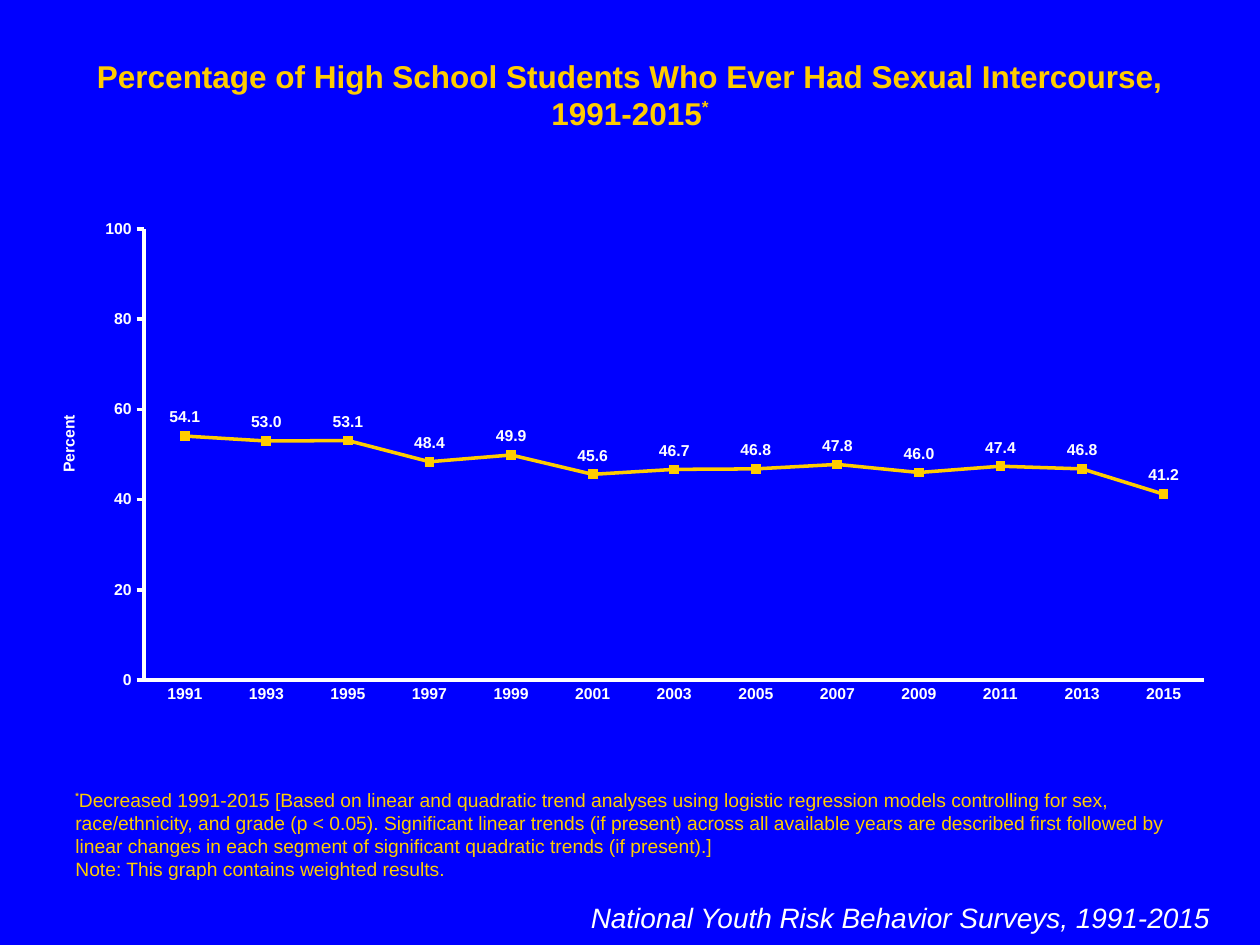
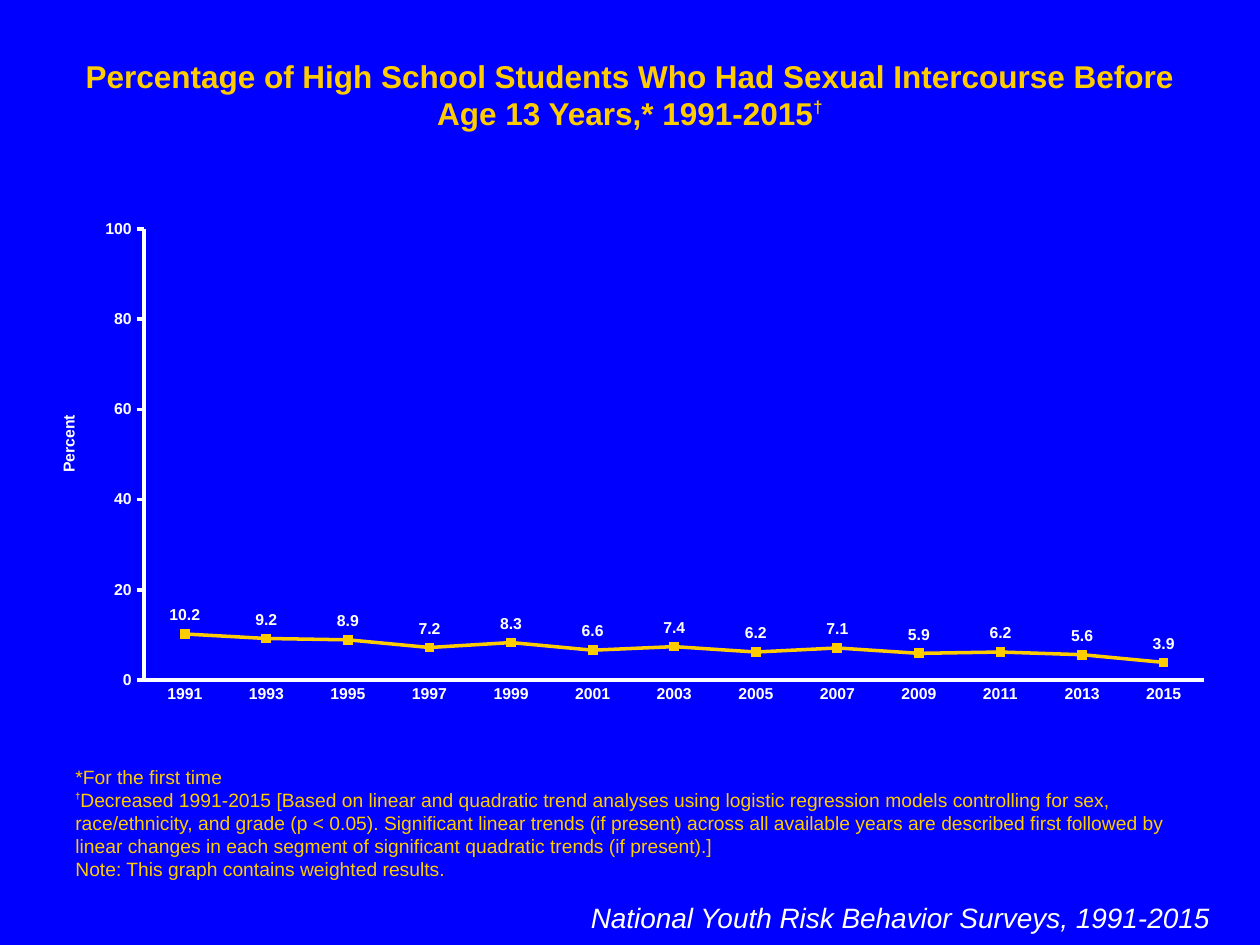
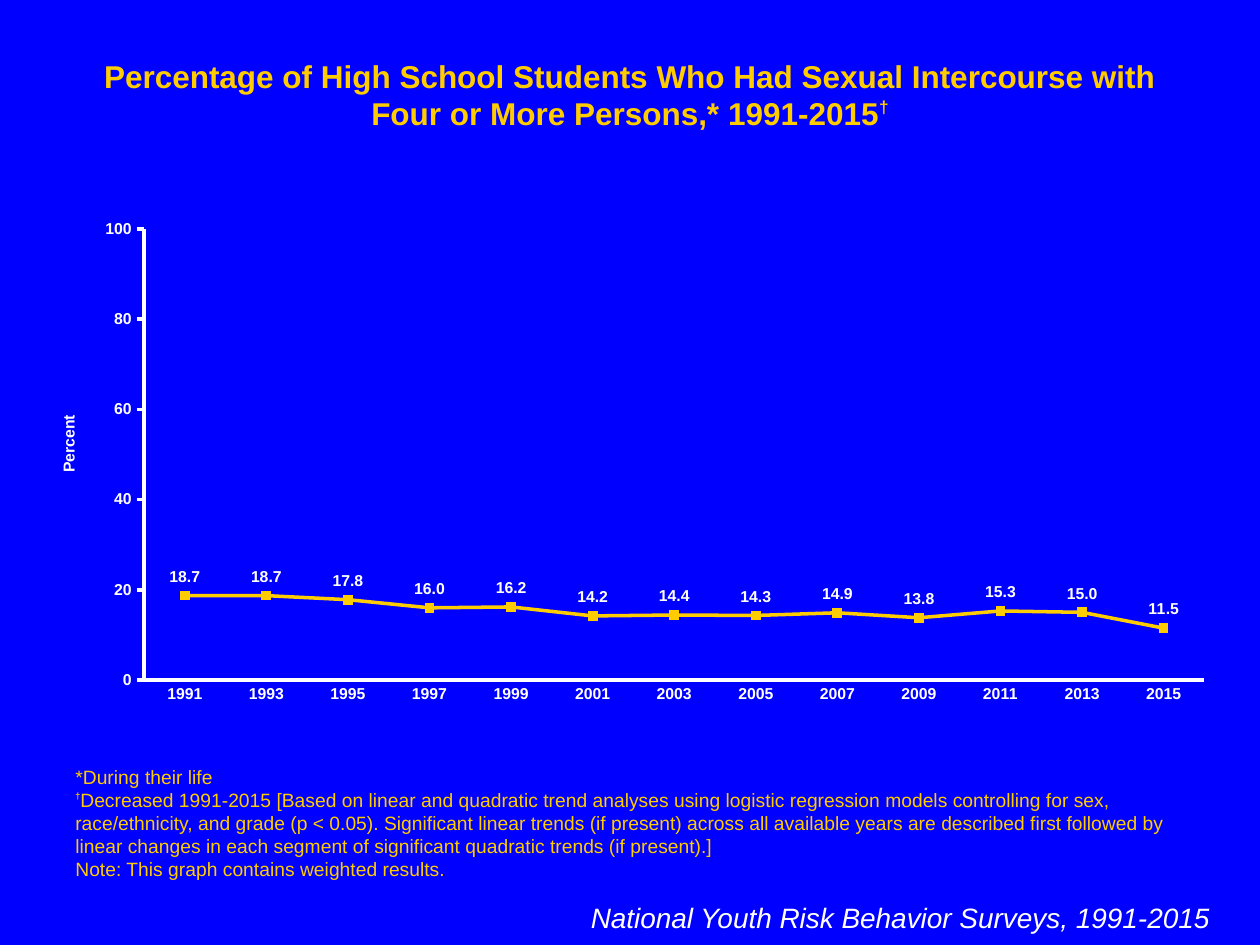
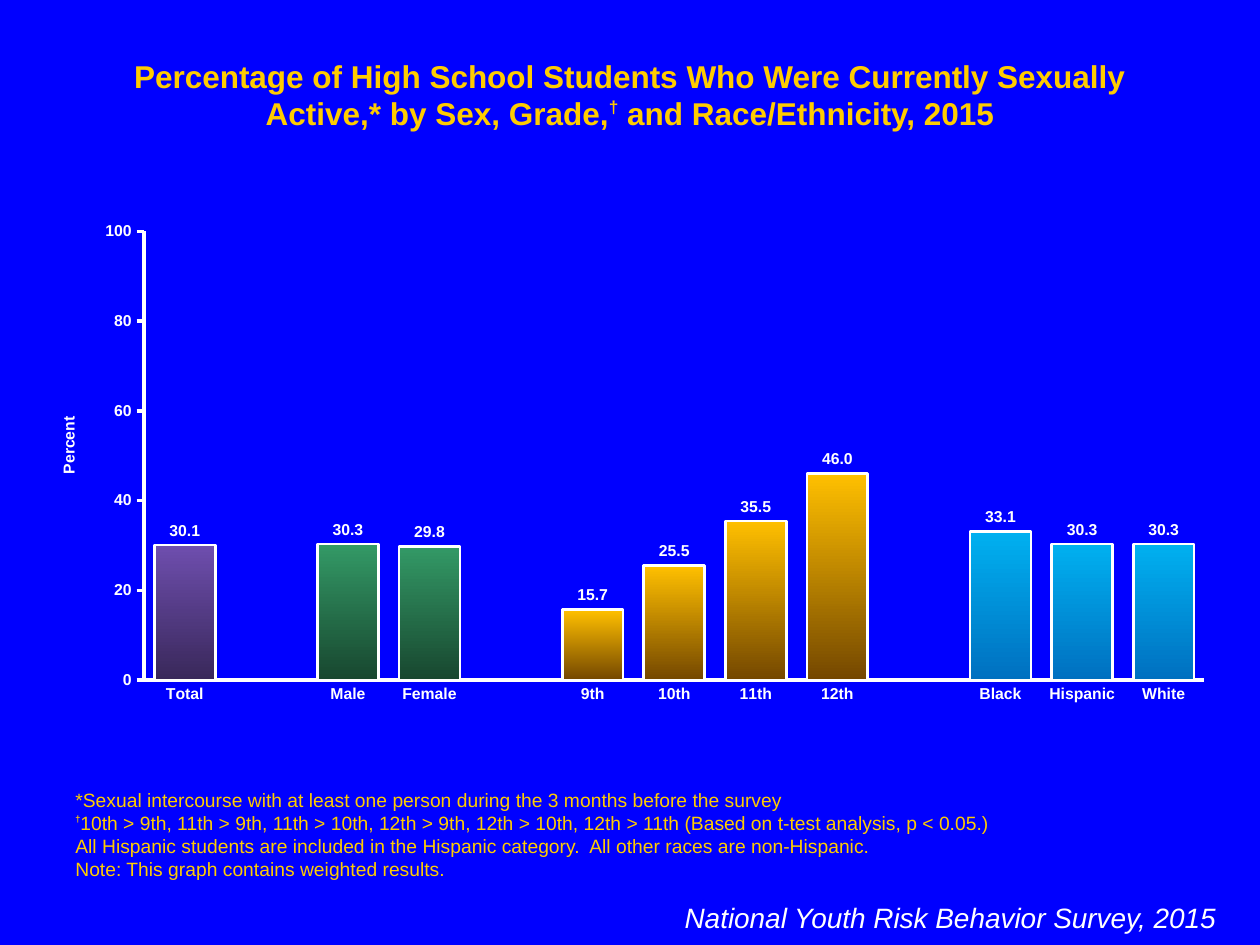
import dataclasses

import lxml.etree
import pptx
import pptx.chart.data
import pptx.dml.color
import pptx.enum.chart
import pptx.enum.text
import pptx.oxml
import pptx.oxml.ns
import pptx.util

Inches, Pt = pptx.util.Inches, pptx.util.Pt
qn = pptx.oxml.ns.qn


def rgb(code):
    return pptx.dml.color.RGBColor.from_string(code)


@dataclasses.dataclass(frozen=True)
class Theme:
    font: str = "Arial"
    background: str = "0000FF"
    accent: str = "FFCC00"
    light: str = "FFFFFF"
    title: int = 18
    title_mark: int = 17
    note: int = 11
    note_mark: int = 9
    source: int = 16
    chart: int = 9
    axis_line: float = 2
    bar_line: float = 1.5


THEME = Theme()
WIDTH, HEIGHT = 10, 7.5

# Boxes: left, top, width, height in inches
TITLE_BOX = (0.5, 0.4, 9, 0.4)
NOTE_BOX = (0.5, 6.75, 9, 0.29)
TREND_SOURCE_BOX = (4.53, 7.1, 5.17, 0.37)
GROUP_SOURCE_BOX = (4.25, 7.1, 5.5, 0.37)
TREND_CHART_BOX = (0.25, 1.67, 9.5, 4)
GROUP_CHART_BOX = (0.25, 1.69, 9.5, 3.98)

# Shares of the chart's size
PLOT_AREA = {"x": 0.09, "y": 0.04, "w": 0.89, "h": 0.89}
PLOT_AREA = {"x": 0.094, "y": 0.037, "w": 0.886, "h": 0.895}
AXIS_TITLE = {"x": 0.02, "y": 0.4}

# Content: in a list of text parts, every second part is a raised mark
YEARS = [str(year) for year in range(1991, 2016, 2)]
TREND_TEST = (
    "Decreased 1991-2015 [Based on linear and quadratic trend analyses using logistic "
    "regression models controlling for sex, race/ethnicity, and grade (p < 0.05). "
    "Significant linear trends (if present) across all available years are described "
    "first followed by linear changes in each segment of significant quadratic trends "
    "(if present).]"
)
WEIGHTED = ["Note: This graph contains weighted results."]
TREND_SOURCE = "National Youth Risk Behavior Surveys, 1991-2015"
GROUP_SOURCE = "National Youth Risk Behavior Survey, 2015"

TRENDS = [
    {
        "title": ["Percentage of High School Students Who Ever Had Sexual Intercourse, "
                  "1991-2015", "*"],
        "notes": [["", "*", TREND_TEST], WEIGHTED],
        "percents": [54.1, 53.0, 53.1, 48.4, 49.9, 45.6, 46.7, 46.8, 47.8, 46.0, 47.4,
                     46.8, 41.2],
    },
    {
        "title": ["Percentage of High School Students Who Had Sexual Intercourse Before "
                  "Age 13 Years,* 1991-2015", "†"],
        "notes": [["*For the first time"], ["", "†", TREND_TEST], WEIGHTED],
        "percents": [10.2, 9.2, 8.9, 7.2, 8.3, 6.6, 7.4, 6.2, 7.1, 5.9, 6.2, 5.6, 3.9],
    },
    {
        "title": ["Percentage of High School Students Who Had Sexual Intercourse with "
                  "Four or More Persons,* 1991-2015", "†"],
        "notes": [["*During their life"], ["", "†", TREND_TEST], WEIGHTED],
        "percents": [18.7, 18.7, 17.8, 16.0, 16.2, 14.2, 14.4, 14.3, 14.9, 13.8, 15.3,
                     15.0, 11.5],
    },
]

GROUPS_TITLE = ["Percentage of High School Students Who Were Currently Sexually Active,* "
                "by Sex, Grade,", "†", " and Race/Ethnicity, 2015"]
GROUPS_NOTES = [
    ["*Sexual intercourse with at least one person during the 3 months before the survey"],
    ["", "†", "10th > 9th, 11th > 9th, 11th > 10th, 12th > 9th, 12th > 10th, 12th > 11th "
              "(Based on t-test analysis, p < 0.05.)"],
    ["All Hispanic students are included in the Hispanic category.  "
     "All other races are non-Hispanic."],
    WEIGHTED,
]
# Each group: colour at the top of its bars, colour at the bottom, bars
GROUPS = [
    ("6E4EAE", "39285A", [("Total", 30.1)]),
    ("339966", "18472F", [("Male", 30.3), ("Female", 29.8)]),
    ("FFC000", "744700", [("9th", 15.7), ("10th", 25.5), ("11th", 35.5), ("12th", 46.0)]),
    ("00B0F0", "0070C0", [("Black", 33.1), ("Hispanic", 30.3), ("White", 30.3)]),
]


# Text
def set_font(font, size, color, bold=False, italic=False):
    font.name, font.size = THEME.font, Pt(size)
    font.bold, font.italic = bold, italic
    font.color.rgb = rgb(color)


def add_text(slide, box, lines, size, color, mark_size=None, lift=0, align="LEFT",
             anchor="TOP", bold=False, italic=False):
    frame = slide.shapes.add_textbox(*map(Inches, box)).text_frame
    frame.word_wrap = True
    frame.auto_size = pptx.enum.text.MSO_AUTO_SIZE.SHAPE_TO_FIT_TEXT
    frame.vertical_anchor = pptx.enum.text.MSO_ANCHOR[anchor]
    for row, parts in enumerate(lines):
        paragraph = frame.add_paragraph() if row else frame.paragraphs[0]
        paragraph.alignment = pptx.enum.text.PP_ALIGN[align]
        for index, part in enumerate(parts):
            if not part:
                continue
            raised = index % 2 == 1
            run = paragraph.add_run()
            run.text = part
            set_font(run.font, mark_size if raised else size, color, bold or raised, italic)
            if raised:
                run._r.get_or_add_rPr().set("baseline", str(lift * 1000))


# Charts
def place(parent, position, shares, inner=False):
    """Fix a chart part at shares of the chart's size."""
    for old in parent.findall(qn("c:layout")):
        parent.remove(old)
    layout = pptx.oxml.parse_xml(
        '<c:layout xmlns:c="http://schemas.openxmlformats.org/drawingml/2006/chart">'
        "<c:manualLayout/></c:layout>")
    settings = [("layoutTarget", "inner")] if inner else []
    settings += [(side + "Mode", "edge") for side in "xy"]
    settings += shares.items()
    for tag, value in settings:
        lxml.etree.SubElement(layout[0], qn("c:" + tag)).set("val", str(value))
    parent.insert(position, layout)


def add_percent_chart(slide, kind, box, categories, percents):
    data = pptx.chart.data.CategoryChartData(number_format="#,##0.0")
    data.categories = categories
    data.add_series("Series 1", percents)
    chart = slide.shapes.add_chart(
        pptx.enum.chart.XL_CHART_TYPE[kind], *map(Inches, box), data).chart
    chart.has_title = chart.has_legend = False
    set_font(chart.font, THEME.title, THEME.light)

    ticks = pptx.enum.chart.XL_TICK_MARK
    years, percent = chart.category_axis, chart.value_axis
    for axis, tick in ((years, ticks.NONE), (percent, ticks.OUTSIDE)):
        axis.has_major_gridlines = False
        axis.major_tick_mark, axis.minor_tick_mark = tick, ticks.NONE
        axis.format.line.color.rgb = rgb(THEME.light)
        axis.format.line.width = Pt(THEME.axis_line)
        set_font(axis.tick_labels.font, THEME.chart, THEME.light, bold=True)
    percent.minimum_scale, percent.maximum_scale, percent.major_unit = 0, 100, 20
    percent.tick_labels.number_format = "#,##0"
    percent.tick_labels.number_format_is_linked = False

    # Upright axis title
    heading = percent.axis_title
    run = heading.text_frame.paragraphs[0].add_run()
    run.text = "Percent"
    set_font(run.font, THEME.chart, THEME.light, bold=True)
    body = heading._element.find(".//" + qn("a:bodyPr"))
    body.set("rot", "-5400000")
    body.set("vert", "horz")
    place(heading._element, 1, AXIS_TITLE)
    place(chart._chartSpace.chart.plotArea, 0, PLOT_AREA, inner=True)

    plot = chart.plots[0]
    plot.vary_by_categories = False
    plot.has_data_labels = True
    labels = plot.data_labels
    labels.show_value = True
    labels.number_format, labels.number_format_is_linked = "#,##0.0", False
    set_font(labels.font, THEME.chart, THEME.light, bold=True)
    return plot


def add_trend(slide, percents):
    plot = add_percent_chart(slide, "LINE_MARKERS", TREND_CHART_BOX, YEARS, percents)
    plot.data_labels.position = pptx.enum.chart.XL_LABEL_POSITION.ABOVE
    trend = plot.series[0]
    trend.smooth = False
    trend.format.line.color.rgb = rgb(THEME.accent)
    trend.format.line.width = Pt(THEME.axis_line)
    trend.marker.style = pptx.enum.chart.XL_MARKER_STYLE.SQUARE
    trend.marker.size = 5
    for paint in (trend.marker.format.fill, trend.marker.format.line.fill):
        paint.solid()
        paint.fore_color.rgb = rgb(THEME.accent)


def add_groups(slide):
    # One empty category separates neighbouring groups
    bars = []
    for top, bottom, members in GROUPS:
        if bars:
            bars.append(("", None, None))
        bars += [(name, percent, (top, bottom)) for name, percent in members]
    names, percents, shades = zip(*bars)
    plot = add_percent_chart(slide, "COLUMN_CLUSTERED", GROUP_CHART_BOX, names, percents)
    plot.gap_width, plot.overlap = 34, 100
    plot.data_labels.position = pptx.enum.chart.XL_LABEL_POSITION.OUTSIDE_END
    for index, shade in enumerate(shades):
        if not shade:
            continue
        look = plot.series[0].points[index].format
        look.fill.gradient()
        look.fill.gradient_angle = 270
        for stop, color in zip(look.fill.gradient_stops, shade):
            stop.color.rgb = rgb(color)
        for stop, position in zip(look.fill.gradient_stops, (0, 1)):
            stop.position = position
        look.line.color.rgb = rgb(THEME.light)
        look.line.width = Pt(THEME.bar_line)


# Slides
def add_page(deck, title, notes, source, source_box):
    slide = deck.slides.add_slide(deck.slide_layouts[6])
    add_text(slide, TITLE_BOX, [title], THEME.title, THEME.accent, THEME.title_mark, 40,
             align="CENTER", bold=True)
    add_text(slide, NOTE_BOX, notes, THEME.note, THEME.accent, THEME.note_mark, 50,
             anchor="BOTTOM")
    add_text(slide, source_box, [[source]], THEME.source, THEME.light, align="RIGHT",
             italic=True)
    return slide


def main():
    deck = pptx.Presentation()
    deck.slide_width, deck.slide_height = Inches(WIDTH), Inches(HEIGHT)
    backdrop = deck.slide_master.background.fill
    backdrop.solid()
    backdrop.fore_color.rgb = rgb(THEME.background)
    for trend in TRENDS:
        slide = add_page(deck, trend["title"], trend["notes"], TREND_SOURCE,
                         TREND_SOURCE_BOX)
        add_trend(slide, trend["percents"])
    add_groups(add_page(deck, GROUPS_TITLE, GROUPS_NOTES, GROUP_SOURCE, GROUP_SOURCE_BOX))
    deck.save("out.pptx")


if __name__ == "__main__":
    main()
